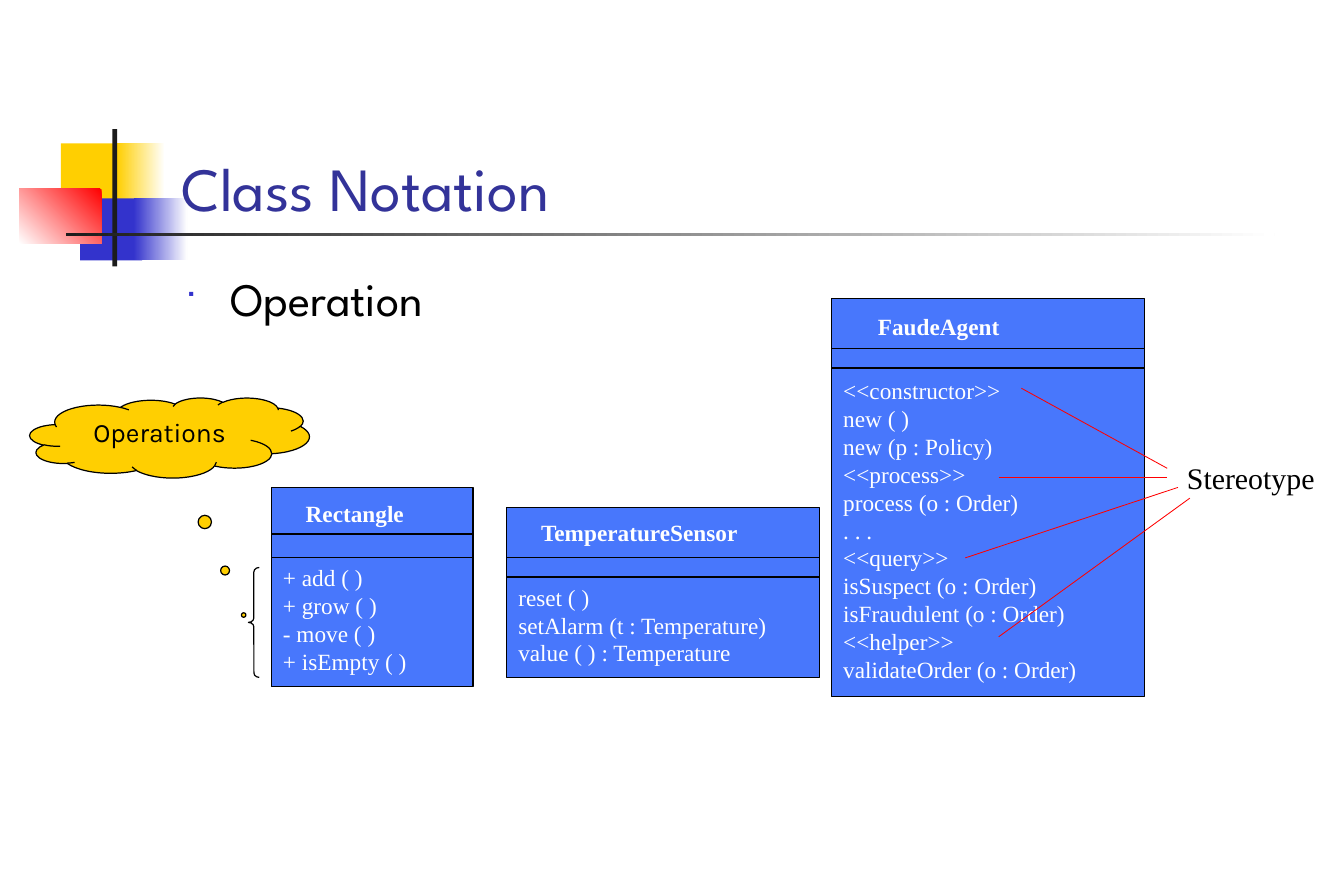
"""Build a slide on UML class notation for operations."""
from dataclasses import dataclass
from lxml.etree import SubElement as Sub
from pptx import Presentation
from pptx.dml.color import RGBColor as Rgb
from pptx.enum.shapes import MSO_CONNECTOR as Conn, MSO_SHAPE as Kind
from pptx.enum.text import MSO_ANCHOR as Anchor, PP_ALIGN as Align
from pptx.oxml.ns import qn
from pptx.util import Inches, Pt

HUES = {"gold": "FFCF01", "blue": "3333CC", "red": "FF0000", "dark": "1C1C1C",
        "white": "FFFFFF", "black": "000000", "title": "333399", "class": "4877FC"}
SERIF, SANS = "Times New Roman", "League Spartan"


@dataclass
class Box:
    left: float
    top: float
    width: float
    height: float


@dataclass
class Block:
    box: Box
    hues: tuple[str, ...]
    angle: int = 0


@dataclass
class Label:
    box: Box
    text: str
    size: int
    font: str
    hue: str
    anchor: Anchor = Anchor.TOP
    align: Align = Align.LEFT
    wrap: bool = True


@dataclass
class Uml:
    box: Box
    name: str
    indent: float
    rules: tuple[float, float]
    ops: tuple[str, ...]


@dataclass
class Line:
    start: tuple[float, float]
    end: tuple[float, float]
    hue: str = "black"
    width: float = 0.75


BLOCKS = [
    Block(Box(0.51, 1.2, 0.54, 0.52), ("gold",)),
    Block(Box(0.98, 1.2, 0.4, 0.52), ("gold", "white")),
    Block(Box(0.67, 1.66, 0.52, 0.52), ("blue",)),
    Block(Box(1.12, 1.66, 0.45, 0.52), ("blue", "white")),
    Block(Box(0.16, 1.58, 0.69, 0.46), ("red", "white"), 225),
    Block(Box(0.94, 1.08, 0.04, 1.15), ("dark",)),
    Block(Box(0.55, 1.95, 10.12, 0.03), ("dark", "white")),
]
TITLE = Label(Box(1.42, 0.67, 9.59, 1.25), "Class Notation", 37, SANS, "title", Anchor.BOTTOM)
TOPIC = Label(Box(1.45, 2.21, 9.56, 4.5), "Operation", 28, SANS, "black")
NOTE = Label(Box(9.72, 3.83, 1.5, 0.33), "Stereotype", 18, SERIF, "black",
             Anchor.MIDDLE, Align.CENTER)
CLOUD = Label(Box(0.25, 3.33, 2.34, 0.67), "Operations", 16, "Karla", "black",
              align=Align.CENTER)
BRACE = Box(2.08, 4.75, 0.09, 0.92)
CLASSES = [
    Uml(Box(2.27, 4.08, 1.69, 1.67), "Rectangle", 0.19, (4.47, 4.67),
        ("+ add ( )", "+ grow ( )", "- move ( )", "+ isEmpty ( )")),
    Uml(Box(4.24, 4.25, 2.62, 1.42), "TemperatureSensor", 0.19, (4.67, 4.83),
        ("reset ( )", "setAlarm (t : Temperature)", "value ( ) : Temperature")),
    Uml(Box(6.96, 2.5, 2.62, 3.33), "FaudeAgent", 0.29, (2.92, 3.08),
        ("<<constructor>>", "new ( )", "new (p : Policy)", "<<process>>",
         "process (o : Order)", ". . .", "<<query>>", "isSuspect (o : Order)",
         "isFraudulent (o : Order)", "<<helper>>", "validateOrder (o : Order)")),
]
LINKS = [
    Line((8.55, 3.25), (9.77, 3.92), "red", 0.5),
    Line((8.36, 4), (9.77, 4), "red", 0.5),
    Line((8.08, 4.67), (9.86, 4.08), "red", 0.5),
    Line((8.36, 5.33), (9.96, 4.17), "red", 0.5),
]


def tint(hue: str) -> Rgb:
    return Rgb.from_string(HUES[hue])


def place(box: Box) -> tuple:
    return tuple(Inches(n) for n in (box.left, box.top, box.width, box.height))


def add_form(shapes, kind: Kind, box: Box, fill: str = "", edge: str = ""):
    form = shapes.add_shape(kind, *place(box))
    form.shadow.inherit = False
    if fill:
        form.fill.solid()
        form.fill.fore_color.rgb = tint(fill)
    else:
        form.fill.background()
    if edge:
        form.line.color.rgb = tint(edge)
        form.line.width = Pt(0.75)
    else:
        form.line.fill.background()
    return form


def add_block(shapes, block: Block) -> None:
    form = add_form(shapes, Kind.RECTANGLE, block.box, block.hues[0])
    if len(block.hues) > 1:
        form.fill.gradient()
        form.fill.gradient_angle = block.angle
        for stop, hue in zip(form.fill.gradient_stops, block.hues):
            stop.color.rgb = tint(hue)


def style(para, size: int, font: str, hue: str) -> None:
    para.font.size, para.font.name = Pt(size), font
    para.font.color.rgb = tint(hue)


def write(form, label: Label):
    frame = form.text_frame
    frame.word_wrap, frame.vertical_anchor = label.wrap, label.anchor
    para = frame.paragraphs[0]
    para.text, para.alignment = label.text, label.align
    style(para, label.size, label.font, label.hue)
    return para


def add_label(shapes, label: Label):
    form = shapes.add_textbox(*place(label.box))
    return write(form, label)


def add_topic(shapes, label: Label) -> None:
    form = shapes.add_textbox(*place(label.box))
    props = form.text_frame.paragraphs[0]._p.get_or_add_pPr()
    props.set("marL", str(Inches(0.38)))
    props.set("indent", str(-Inches(0.38)))
    Sub(Sub(props, qn("a:buClr")), qn("a:srgbClr"), val=HUES["blue"])
    Sub(props, qn("a:buSzPct"), val="60000")
    Sub(props, qn("a:buFont"), typeface="Wingdings")
    Sub(props, qn("a:buChar"), char="■")
    write(form, label)


def add_line(shapes, line: Line) -> None:
    ends = [Inches(n) for n in line.start + line.end]
    link = shapes.add_connector(Conn.STRAIGHT, *ends)
    link.line.color.rgb = tint(line.hue)
    link.line.width = Pt(line.width)
    Sub(link._element.spPr, qn("a:effectLst"))


def add_class(shapes, uml: Uml) -> None:
    box = uml.box
    form = add_form(shapes, Kind.RECTANGLE, box, "class", "black")
    head = write(form, Label(box, uml.name, 14, SERIF, "white", Anchor.MIDDLE, wrap=False))
    head.font.bold = True
    head.space_after = Pt(22)
    head._p.get_or_add_pPr().set("marL", str(Inches(uml.indent)))
    for text in uml.ops:
        para = form.text_frame.add_paragraph()
        para.text, para.alignment = text, Align.LEFT
        style(para, 14, SERIF, "white")
    for y in uml.rules:
        add_line(shapes, Line((box.left, y), (box.left + box.width, y)))


def main() -> None:
    deck = Presentation()
    deck.slide_width, deck.slide_height = Inches(11.25), Inches(7.5)
    shapes = deck.slides.add_slide(deck.slide_layouts[6]).shapes
    for block in BLOCKS:
        add_block(shapes, block)
    add_label(shapes, TITLE)
    add_topic(shapes, TOPIC)
    for uml in CLASSES:
        add_class(shapes, uml)
    add_label(shapes, NOTE)
    for link in LINKS:
        add_line(shapes, link)
    cloud = add_form(shapes, Kind.CLOUD_CALLOUT, CLOUD.box, "gold", "black")
    cloud.adjustments[0], cloud.adjustments[1] = 0.265, 2.214
    write(cloud, CLOUD)
    brace = add_form(shapes, Kind.LEFT_BRACE, BRACE, edge="black")
    brace.adjustments[0] = 0.42
    deck.save("out.pptx")


if __name__ == "__main__":
    main()
